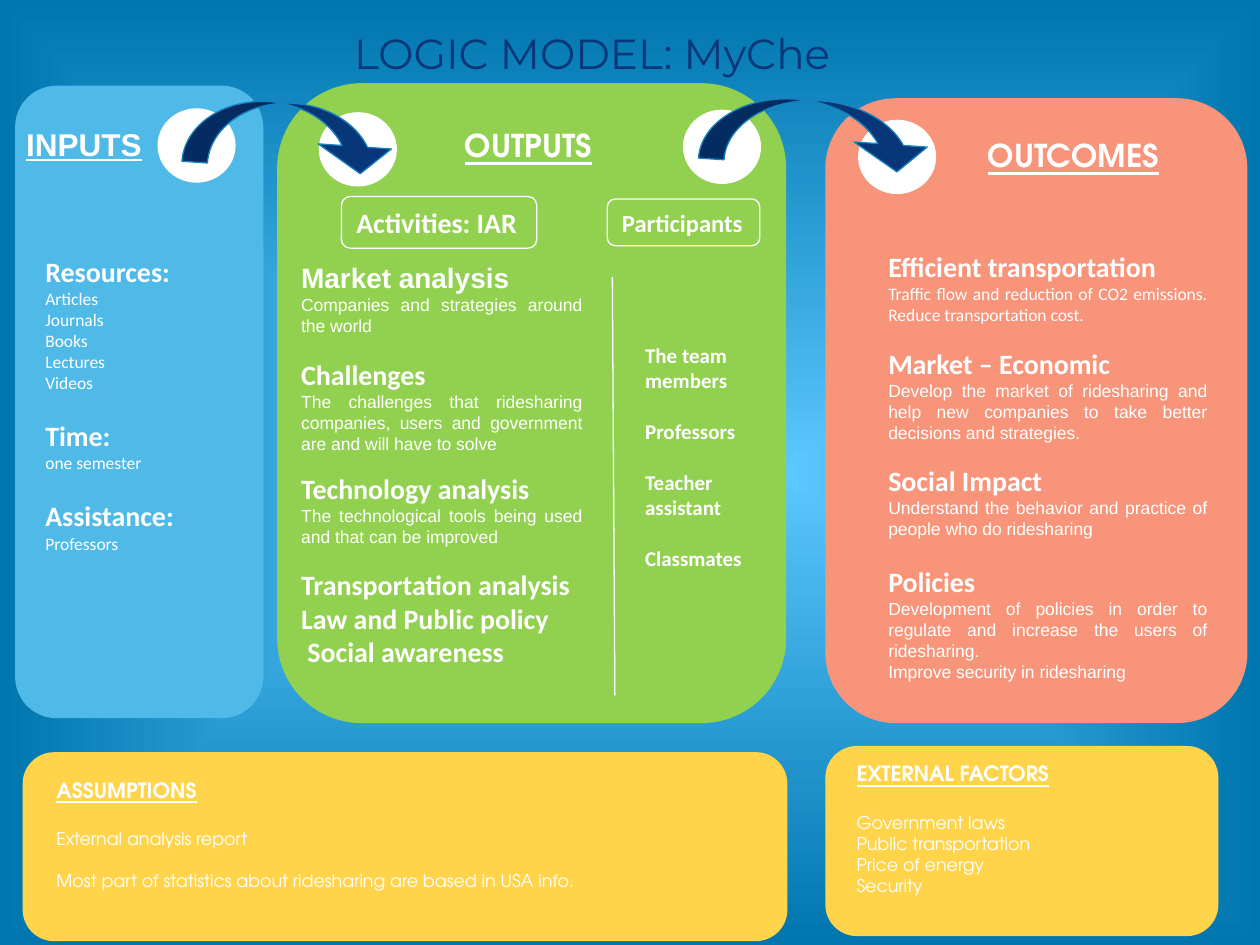
from lxml import etree
from pptx import Presentation
from pptx.dml.color import RGBColor
from pptx.enum.shapes import MSO_CONNECTOR, MSO_SHAPE
from pptx.enum.text import MSO_ANCHOR, MSO_AUTO_SIZE, PP_ALIGN
from pptx.oxml.ns import qn
from pptx.util import Inches, Pt

ROUNDED, OVAL = MSO_SHAPE.ROUNDED_RECTANGLE, MSO_SHAPE.OVAL
CURVED_ARROW, STRAIGHT = MSO_SHAPE.CURVED_DOWN_ARROW, MSO_CONNECTOR.STRAIGHT
LEFT, CENTER, JUSTIFY = PP_ALIGN.LEFT, PP_ALIGN.CENTER, PP_ALIGN.JUSTIFY
TOP, MIDDLE, NO_FIT = MSO_ANCHOR.TOP, MSO_ANCHOR.MIDDLE, MSO_AUTO_SIZE.NONE

WHITE = RGBColor(0xFF, 0xFF, 0xFF)
NAVY = RGBColor(0x07, 0x37, 0x79)
ARROW_EDGE = RGBColor(0x17, 0x82, 0xBF)
SKY = RGBColor(0x4F, 0xBA, 0xE8)
GREEN = RGBColor(0x92, 0xD0, 0x50)
CORAL = RGBColor(0xF7, 0x94, 0x79)
YELLOW = RGBColor(0xFF, 0xD4, 0x4B)
GLOW = RGBColor(0x5B, 0xC8, 0xFF)
DEEP = RGBColor(0x00, 0x75, 0xAE)

DISPLAY = "TeX Gyre Adventor"


def style(name, size, bold=False, underline=False):
    return {"name": name, "size": Pt(size), "bold": bold, "underline": underline}


TITLE = style("Montserrat", 24)
HEAD = style("Calibri", 16, True)
ARIAL_HEAD = style("Arial", 16, True)
ITEM = style("Calibri", 10)
DETAIL = style("Arial", 10)
PERSON = style("Calibri", 12, True)
BADGE = style("Calibri", 14, True)
INPUT_LABEL = style("Arial", 18, True, True)
LABEL = style(DISPLAY, 18, True, True)
NOTE_HEAD = style(DISPLAY, 12, True, True)
NOTE = style(DISPLAY, 10)

RESOURCES = [
    (HEAD, "Resources:", 0), (ITEM, "Articles", 0), (ITEM, "Journals", 0),
    (ITEM, "Books", 0), (ITEM, "Lectures", 0), (ITEM, "Videos", 0),
    (HEAD, "Time:", 14.6), (ITEM, "one semester", 0),
    (HEAD, "Assistance:", 14.6), (ITEM, "Professors", 0)]
ACTIVITIES = [
    (ARIAL_HEAD, "Market analysis", 0),
    (DETAIL, "Companies and strategies around the world", 0),
    (HEAD, "Challenges", 12),
    (DETAIL, "The challenges that ridesharing companies, users and government "
             "are and will have to solve", 0),
    (HEAD, "Technology analysis", 9.8),
    (DETAIL, "The technological tools being used and that can be improved", 0),
    (HEAD, "Transportation analysis", 12),
    (HEAD, "Law and Public policy", 0), (HEAD, "Social awareness", 0)]
PARTICIPANTS = [
    (PERSON, "The team members", 0), (PERSON, "Professors", 14.6),
    (PERSON, "Teacher assistant", 14.6), (PERSON, "Classmates", 14.6)]
OUTCOMES = [
    (HEAD, "Efficient transportation", 0),
    (ITEM, "Traffic flow and reduction of CO2 emissions. "
           "Reduce transportation cost.", 0),
    (HEAD, "Market – Economic", 12),
    (DETAIL, "Develop the market of ridesharing and help new companies to "
             "take better decisions and strategies.", 0),
    (HEAD, "Social Impact", 12),
    (DETAIL, "Understand the behavior and practice of people who do "
             "ridesharing", 0),
    (HEAD, "Policies", 14.6),
    (DETAIL, "Development of policies in order to regulate and increase the "
             "users of ridesharing.", 0),
    (DETAIL, "Improve security in ridesharing", 0)]
ASSUMPTIONS = [
    (NOTE_HEAD, "ASSUMPTIONS", 0), (NOTE, "External analysis report", 14.6),
    (NOTE, "Most part of statistics about ridesharing are based in USA info.", 12)]
FACTORS = [
    (NOTE_HEAD, "EXTERNAL FACTORS", 0), (NOTE, "Government laws", 14.6),
    (NOTE, "Public transportation", 0), (NOTE, "Price of energy", 0),
    (NOTE, "Security", 0)]


def write(sp, lines, align=LEFT, color=WHITE, anchor=TOP, wrap=True):
    tf = sp.text_frame
    frame = {"word_wrap": wrap, "auto_size": NO_FIT, "vertical_anchor": anchor,
             "margin_left": Inches(0.1), "margin_right": Inches(0.1),
             "margin_top": Inches(0.05), "margin_bottom": Inches(0.05)}
    for key, value in frame.items():
        setattr(tf, key, value)
    for i, (fmt, text, gap) in enumerate(lines):
        p = tf.paragraphs[0] if i == 0 else tf.add_paragraph()
        p.alignment, p.space_before = align, Pt(gap)
        if fmt is DETAIL:
            p.line_spacing = Pt(12)
        r = p.add_run()
        r.text = text
        for key, value in fmt.items():
            setattr(r.font, key, value)
        r.font.color.rgb = color
    return tf


def place(sp, x, y, w, h):
    sp.left, sp.top, sp.width, sp.height = map(Inches, (x, y, w, h))
    tree = sp.element.getparent()
    tree.append(sp.element)


def fill_list(sp, box, lines, align=LEFT):
    place(sp, *box)
    tf = write(sp, lines, align)
    for p in tf.paragraphs:
        pPr = p._p.get_or_add_pPr()
        pPr.set("marL", "0")
        pPr.set("indent", "0")
        etree.SubElement(pPr, qn("a:buNone"))
    return tf


def add_text(s, box, lines):
    return write(s.shapes.add_textbox(*map(Inches, box)), lines)


def add_preset(s, kind, box, fill=None, line=None):
    sp = s.shapes.add_shape(kind, *map(Inches, box))
    sp.shadow.inherit = False
    if fill is None:
        sp.fill.background()
    else:
        sp.fill.solid()
        sp.fill.fore_color.rgb = fill
    if line is None:
        sp.line.fill.background()
    else:
        sp.line.color.rgb, sp.line.width = line, Pt(0.75)
    return sp


def add_circle(s, x, y):
    add_preset(s, OVAL, (x, y, 0.62, 0.59), WHITE)


def add_badge(s, box, fmt, text):
    sp = add_preset(s, ROUNDED, box, line=WHITE)
    write(sp, [(fmt, text, 0)], anchor=MIDDLE).margin_right = 0


def add_arrow(s, box):
    sp = add_preset(s, CURVED_ARROW, box, NAVY, ARROW_EDGE)
    sp.rotation = 4
    for i, value in enumerate((0.39, 1.12, 0.41)):
        sp.adjustments[i] = value


def paint_background(s):
    fill = s.background.fill
    fill.gradient()
    for stop, color in zip(fill.gradient_stops, (GLOW, DEEP)):
        stop.color.rgb = color
    grad = s.element.find(".//" + qn("a:gradFill"))
    grad.remove(grad.find(qn("a:lin")))
    center = etree.SubElement(grad, qn("a:path"), path="rect")
    etree.SubElement(center, qn("a:fillToRect"),
                     {side: "50000" for side in "ltrb"})


def add_title(sp, box):
    place(sp, *box)
    write(sp, [(TITLE, "LOGIC MODEL: MyChe", 0)], CENTER, NAVY, wrap=False)


def add_inputs(s, body, x, y, w, h):
    add_preset(s, ROUNDED, (x, y, w, h), SKY)
    add_circle(s, x + 1.13, y + 0.18)
    add_text(s, (x - 0.01, y + 0.26, 1.15, 0.4), [(INPUT_LABEL, "INPUTS", 0)])
    fill_list(body, (x + 0.14, y + 1.29, w - 0.46, 3.7), RESOURCES)


def add_outputs(s, activities, participants, x, y, w, h):
    add_preset(s, ROUNDED, (x, y, w, h), GREEN)
    add_circle(s, x + 0.33, y + 0.23)
    add_circle(s, x + 3.22, y + 0.21)
    add_text(s, (x + 1.39, y + 0.29, 1.58, 0.4), [(LABEL, "OUTPUTS", 0)])
    add_badge(s, (x + 0.51, y + 0.9, 1.55, 0.41), HEAD, "Activities: IAR")
    add_badge(s, (x + 2.62, y + 0.92, 1.21, 0.37), BADGE, "Participants")
    tf = fill_list(activities, (x + 0.09, y + 1.36, 2.43, 3.4), ACTIVITIES, JUSTIFY)
    tf.paragraphs[-1]._p.get_or_add_pPr().set("marL", str(Inches(0.05)))
    fill_list(participants, (x + 2.82, y + 2.01, 0.98, 2.5), PARTICIPANTS)
    divider = s.shapes.add_connector(
        STRAIGHT, *map(Inches, (x + 2.66, y + 1.54, x + 2.68, y + 4.86)))
    divider.line.color.rgb, divider.line.width = WHITE, Pt(0.75)
    etree.SubElement(divider.element.spPr, qn("a:effectLst"))


def add_outcomes(s, body, x, y, w, h):
    add_preset(s, ROUNDED, (x, y, w, h), CORAL)
    add_circle(s, x + 0.26, y + 0.17)
    add_text(s, (x + 1.19, y + 0.25, 1.81, 0.4), [(LABEL, "OUTCOMES", 0)])
    fill_list(body, (x + 0.4, y + 1.15, w - 0.62, 3.77), OUTCOMES, JUSTIFY)


def add_note(s, lines, dx, dy, x, y, w, h):
    add_preset(s, ROUNDED, (x, y, w, h), YELLOW)
    add_text(s, (x + dx, y + dy, w - dx, 1.17), lines)


def main():
    prs = Presentation()
    prs.slide_width, prs.slide_height = Inches(10), Inches(7.5)
    s = prs.slides.add_slide(prs.slide_layouts.get_by_name("Comparison"))
    title, resources, activities, participants, outcomes = list(s.placeholders)[:5]
    paint_background(s)
    add_inputs(s, resources, 0.12, 0.68, 1.97, 5.02)
    add_outcomes(s, outcomes, 6.55, 0.78, 3.35, 4.96)
    add_outputs(s, activities, participants, 2.2, 0.66, 4.04, 5.08)
    add_note(s, ASSUMPTIONS, 0.17, 0.15, 0.18, 5.97, 6.07, 1.5)
    add_note(s, FACTORS, 0.15, 0.07, 6.55, 5.92, 3.12, 1.51)
    add_arrow(s, (1.46, 0.82, 1.71, 0.52))
    add_arrow(s, (5.56, 0.8, 1.87, 0.52))
    add_title(title, (1.79, 0.17, 5.82, 0.34))
    prs.save("out.pptx")


if __name__ == "__main__":
    main()
